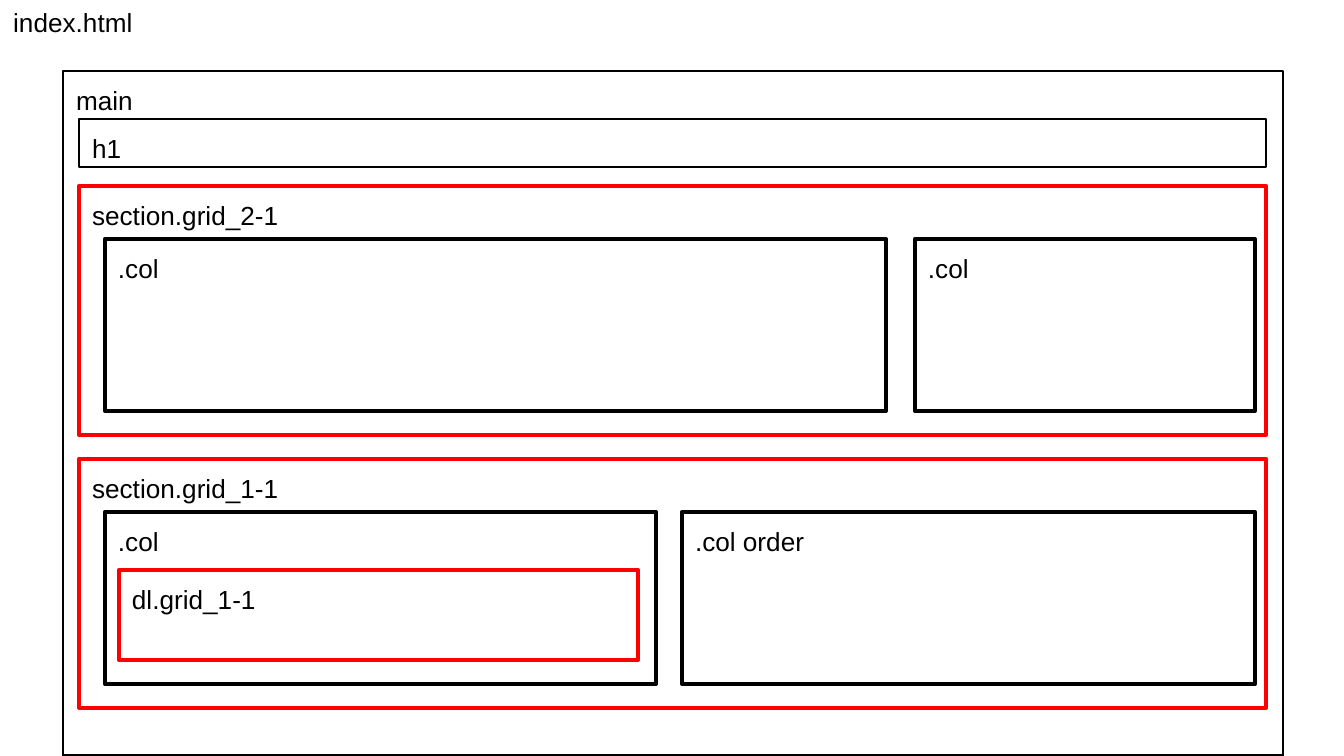
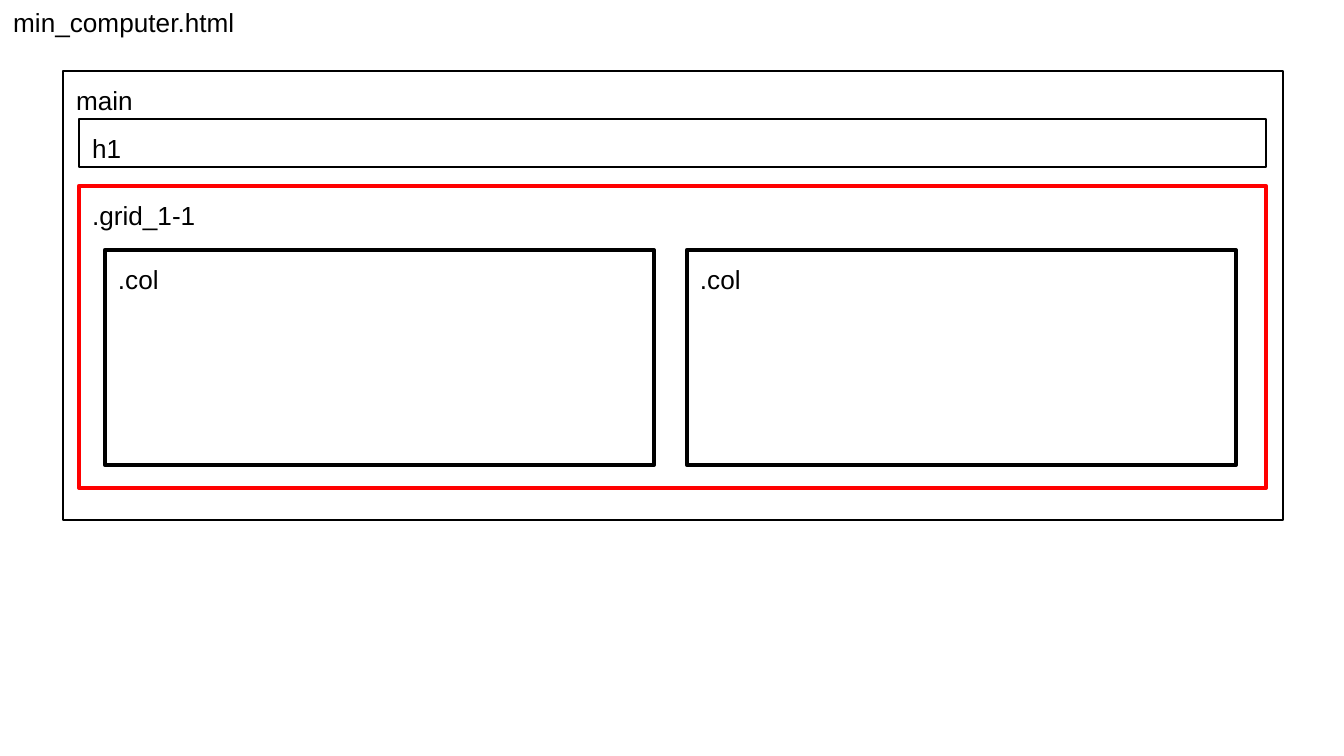
import pptx
import pptx.dml.color
import pptx.enum.shapes
import pptx.enum.text
import pptx.oxml
import pptx.oxml.ns
import pptx.util

SCALE = 914400 / 134.4
COLOURS = {"ink": "000000", "grid": "FF0000"}
FONT, TEXT_SIZE = "Arial", 14
THIN, THICK = 1.5, 2.25
INSET = 13

MAIN_LEFT, MAIN_TOP, MAIN_WIDTH = 63, 71, 1220
BAND_LEFT, BAND_WIDTH = 79, 1187
HEADING_TOP, HEADING_HEIGHT = 119, 48
FIRST_GRID_TOP, GRID_GAP = 186, 24
FIRST_COLUMN_LEFT = 105

PAGES = [
    {
        "title": "index.html",
        "main_height": 685,
        "grids": [
            {"label": "section.grid_2-1", "height": 249,
             "column_offset": 53, "column_height": 172, "column_gap": 29,
             "columns": [(".col", 781), (".col", 340)]},
            {"label": "section.grid_1-1", "height": 249,
             "column_offset": 53, "column_height": 172, "column_gap": 26,
             "columns": [(".col", 551), (".col order", 573)],
             "nested": ("dl.grid_1-1", 14, 58, 519, 90)},
        ],
    },
    {
        "title": "min_computer.html",
        "main_height": 449,
        "grids": [
            {"label": ".grid_1-1", "height": 302,
             "column_offset": 64, "column_height": 215, "column_gap": 33,
             "columns": [(".col", 549), (".col", 549)]},
        ],
    },
]


def px(value):
    return pptx.util.Emu(round(value * SCALE))


def write(frame, text):
    frame.text = text
    frame.word_wrap = True
    frame.vertical_anchor = pptx.enum.text.MSO_ANCHOR.TOP
    paragraph = frame.paragraphs[0]
    paragraph.alignment = pptx.enum.text.PP_ALIGN.LEFT
    font = paragraph.runs[0].font
    font.name = FONT
    font.size = pptx.util.Pt(TEXT_SIZE)
    font.color.rgb = pptx.dml.color.RGBColor.from_string(COLOURS["ink"])


def add_title(page, text):
    box = page.shapes.add_textbox(0, 0, px(271), px(46))
    write(box.text_frame, text)
    box.text_frame.auto_size = pptx.enum.text.MSO_AUTO_SIZE.SHAPE_TO_FIT_TEXT


def add_element(page, label, left, top, width, height, colour="ink", weight=THICK):
    box = page.shapes.add_shape(pptx.enum.shapes.MSO_SHAPE.RECTANGLE,
                                px(left), px(top), px(width), px(height))
    box.shadow.inherit = False
    box.fill.background()
    box.line.color.rgb = pptx.dml.color.RGBColor.from_string(COLOURS[colour])
    box.line.width = pptx.util.Pt(weight)
    outline = box._element.spPr.find(pptx.oxml.ns.qn("a:ln"))
    outline.append(pptx.oxml.parse_xml(f"<a:round {pptx.oxml.ns.nsdecls('a')}/>"))
    frame = box.text_frame
    frame.margin_left = frame.margin_right = px(INSET)
    frame.margin_top = frame.margin_bottom = px(INSET)
    write(frame, label)


def add_grid(page, grid, top):
    add_element(page, grid["label"], BAND_LEFT, top, BAND_WIDTH, grid["height"], "grid")
    column_top = top + grid["column_offset"]
    left = FIRST_COLUMN_LEFT
    for label, width in grid["columns"]:
        add_element(page, label, left, column_top, width, grid["column_height"])
        left += width + grid["column_gap"]
    if "nested" in grid:
        label, indent, drop, width, height = grid["nested"]
        add_element(page, label, FIRST_COLUMN_LEFT + indent, column_top + drop,
                    width, height, "grid")


deck = pptx.Presentation()
deck.slide_width, deck.slide_height = px(1344), px(756)
for content in PAGES:
    page = deck.slides.add_slide(deck.slide_layouts[6])
    add_title(page, content["title"])
    add_element(page, "main", MAIN_LEFT, MAIN_TOP, MAIN_WIDTH,
                content["main_height"], weight=THIN)
    add_element(page, "h1", BAND_LEFT, HEADING_TOP, BAND_WIDTH, HEADING_HEIGHT, weight=THIN)
    grid_top = FIRST_GRID_TOP
    for grid in content["grids"]:
        add_grid(page, grid, grid_top)
        grid_top += grid["height"] + GRID_GAP
deck.save("out.pptx")
